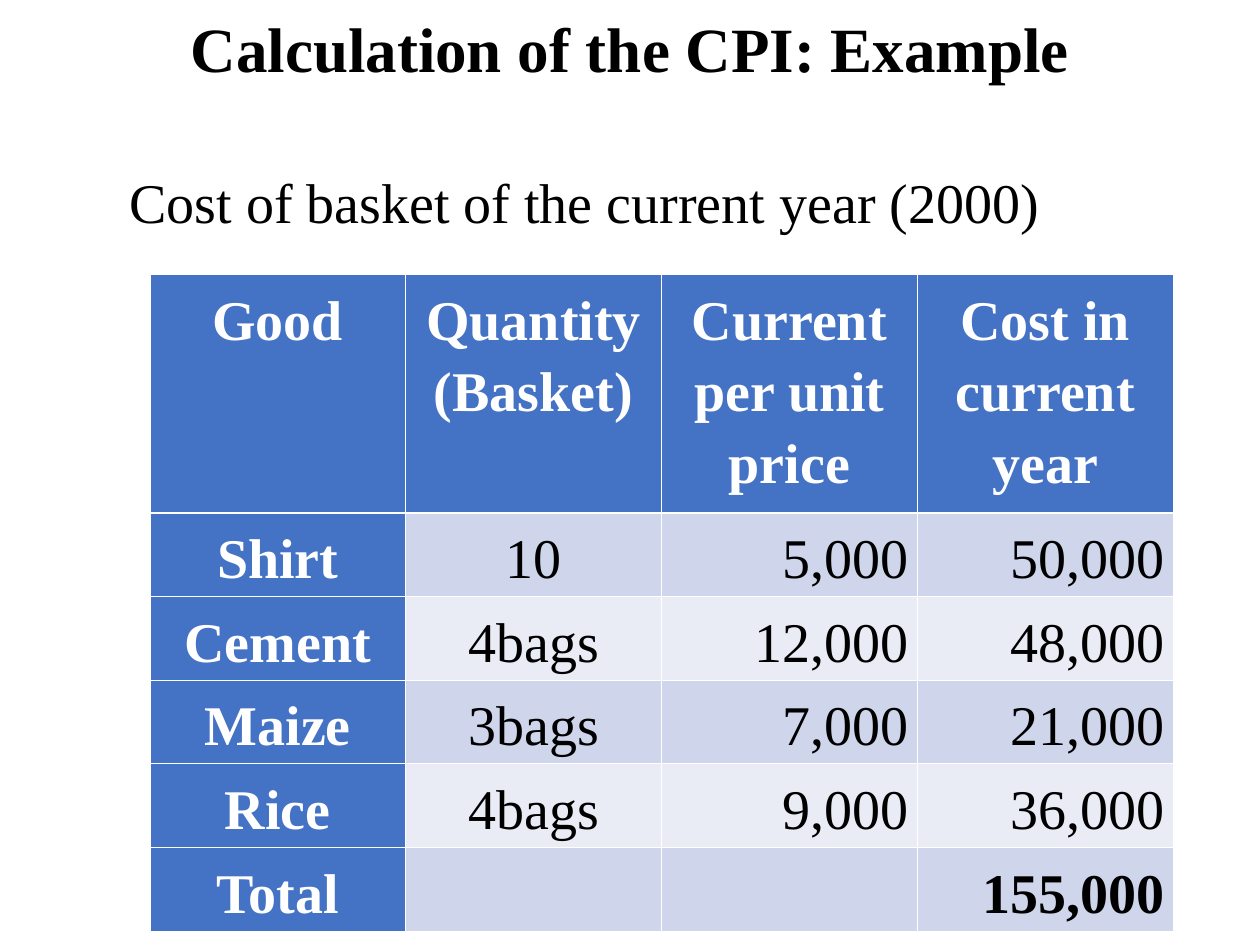
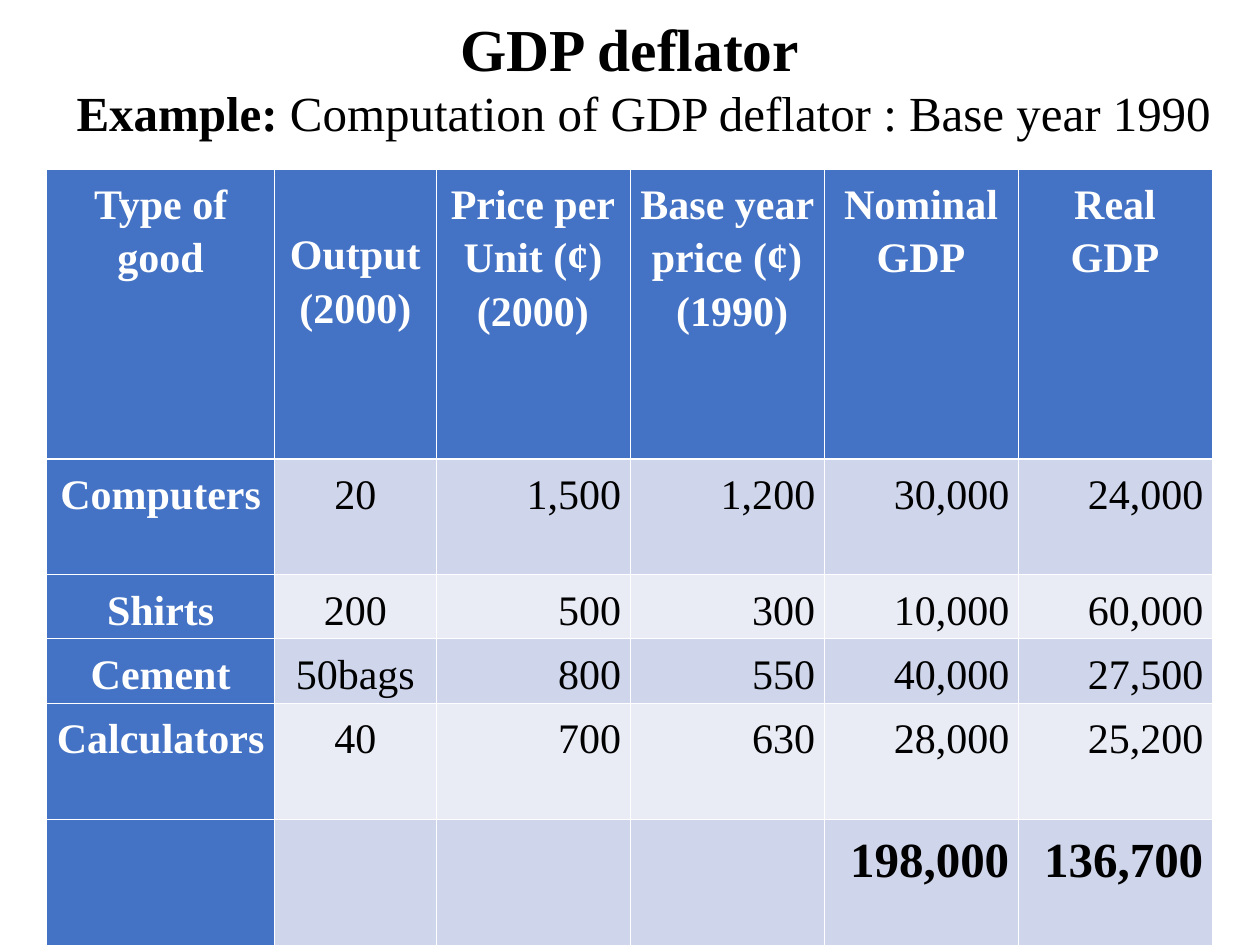
from dataclasses import dataclass

from lxml import etree
from pptx import Presentation
from pptx import util as u
from pptx.dml.color import RGBColor
from pptx.enum import text
from pptx.oxml import ns

# Shared look
PX = 9144  # EMU in one px, 100 px to the inch
FONT = "Times New Roman"
BLACK = RGBColor(0x00, 0x00, 0x00)
WHITE = RGBColor(0xFF, 0xFF, 0xFF)
BLUE = RGBColor(0x44, 0x72, 0xC4)
BANDS = (RGBColor(0xCF, 0xD5, 0xEA), RGBColor(0xE9, 0xEB, 0xF5))
THIN, THICK = u.Pt(0.45), u.Pt(1.47)
LEFT, MID, RIGHT = text.PP_ALIGN.LEFT, text.PP_ALIGN.CENTER, text.PP_ALIGN.RIGHT


@dataclass(frozen=True)
class Label:
    box: tuple[int, int, int, int]
    runs: tuple[tuple[str, bool], ...]
    size: int
    align: text.PP_ALIGN = LEFT
    lead: float = 1.0
    foot: int = 5


@dataclass(frozen=True)
class Grid:
    left: int
    top: int
    cols: tuple[int, ...]
    rows: tuple[int, ...]
    size: int
    total: int
    cells: tuple[tuple[str, ...], ...]
    drop: tuple[int, ...] = ()  # header columns whose text starts a line lower


@dataclass(frozen=True)
class Page:
    title: str
    size: int
    note: Label
    grid: Grid


def put(item, form: dict) -> None:
    for name, value in form.items():
        setattr(item, name, value)


def style(run, size: int, bold: bool, color: RGBColor) -> None:
    put(run.font, {"name": FONT, "size": u.Pt(size), "bold": bold})
    run.font.color.rgb = color


def add_label(slide, label: Label) -> None:
    frame = slide.shapes.add_textbox(*(n * PX for n in label.box)).text_frame
    put(frame, {"word_wrap": True, "margin_bottom": label.foot * PX,
                "vertical_anchor": text.MSO_ANCHOR.MIDDLE})
    para = frame.paragraphs[0]
    put(para, {"alignment": label.align, "line_spacing": label.lead})
    for words, bold in label.runs:
        run = para.add_run()
        run.text = words
        style(run, label.size, bold, BLACK)


def add_edges(cell, row: int) -> None:
    sides = {"lnL": THIN, "lnR": THIN,
             "lnT": THICK if row == 1 else THIN,
             "lnB": THICK if row == 0 else THIN}
    props = cell._tc.get_or_add_tcPr()
    for spot, (side, width) in enumerate(sides.items()):
        line = etree.Element(ns.qn(f"a:{side}"), w=str(int(width)))
        fill = etree.SubElement(line, ns.qn("a:solidFill"))
        etree.SubElement(fill, ns.qn("a:srgbClr"), val=str(WHITE))
        props.insert(spot, line)


def fill_cell(cell, grid: Grid, row: int, col: int) -> None:
    head = row == 0 or col == 0
    last = row == len(grid.rows) - 1
    top = 45 if row == 0 and col in grid.drop else 5
    # No bottom margin, so the rows fit the slide's height
    put(cell, {"margin_left": 7 * PX, "margin_right": 7 * PX,
               "margin_top": top * PX, "margin_bottom": 0})
    cell.fill.solid()
    cell.fill.fore_color.rgb = BLUE if head else BANDS[(row - 1) % 2]
    add_edges(cell, row)

    words = grid.cells[row][col]
    if not words:
        return
    cell.text = words
    for para in cell.text_frame.paragraphs:
        put(para, {"alignment": MID if head or col == 1 else RIGHT,
                   "line_spacing": 1.15})
        size = grid.total if last else grid.size
        style(para.runs[0], size, head or last, WHITE if head else BLACK)


def add_grid(slide, grid: Grid) -> None:
    area = (grid.left, grid.top, sum(grid.cols), sum(grid.rows))
    table = slide.shapes.add_table(len(grid.rows), len(grid.cols),
                                   *(n * PX for n in area)).table
    for col, width in zip(table.columns, grid.cols):
        col.width = width * PX
    for row, height in zip(table.rows, grid.rows):
        row.height = height * PX
    for r in range(len(grid.rows)):
        for c in range(len(grid.cols)):
            fill_cell(table.cell(r, c), grid, r, c)


# Content
PAGES = (
    Page(
        "Calculation of the CPI: Example", 36,
        Label((93, 101, 803, 117),
              (("Cost of basket of the current year (2000)", False),), 32),
        Grid(119, 218, (203,) * 4, (184,) + (61,) * 5, 32, 32, (
            ("Good", "Quantity (Basket)", "Current per unit price",
             "Cost in current year"),
            ("Shirt", "10", "5,000", "50,000"),
            ("Cement", "4bags", "12,000", "48,000"),
            ("Maize", "3bags", "7,000", "21,000"),
            ("Rice", "4bags", "9,000", "36,000"),
            ("Total", "", "", "155,000"),
        )),
    ),
    Page(
        "GDP deflator", 34,
        Label((51, 36, 935, 150),
              (("Example: ", True),
               ("Computation of GDP deflator : Base year 1990", False)),
              28, foot=50),
        Grid(37, 134, (181, 128) + (154,) * 4, (230, 92, 46, 46, 92, 107),
             24, 28, (
            ("Type of good", "Output\n(2000)", "Price per\nUnit (¢)\n(2000)",
             "Base year price (¢)\n (1990)", "Nominal GDP", "Real GDP"),
            ("Computers", "20", "1,500", "1,200", "30,000", "24,000"),
            ("Shirts", "200", "500", "300", "10,000", "60,000"),
            ("Cement", "50bags", "800", "550", "40,000", "27,500"),
            ("Calculators", "40", "700", "630", "28,000", "25,200"),
            ("", "", "", "", "198,000", "136,700"),
        ), drop=(1,)),
    ),
)


def main() -> None:
    deck = Presentation()
    put(deck, {"slide_width": 1000 * PX, "slide_height": 750 * PX})
    for page in PAGES:
        slide = deck.slides.add_slide(deck.slide_layouts[6])
        add_label(slide, Label((0, 0, 1000, 83), ((page.title, True),),
                               page.size, MID, 0.9))
        add_grid(slide, page.grid)
        add_label(slide, page.note)
    deck.save("out.pptx")


if __name__ == "__main__":
    main()
